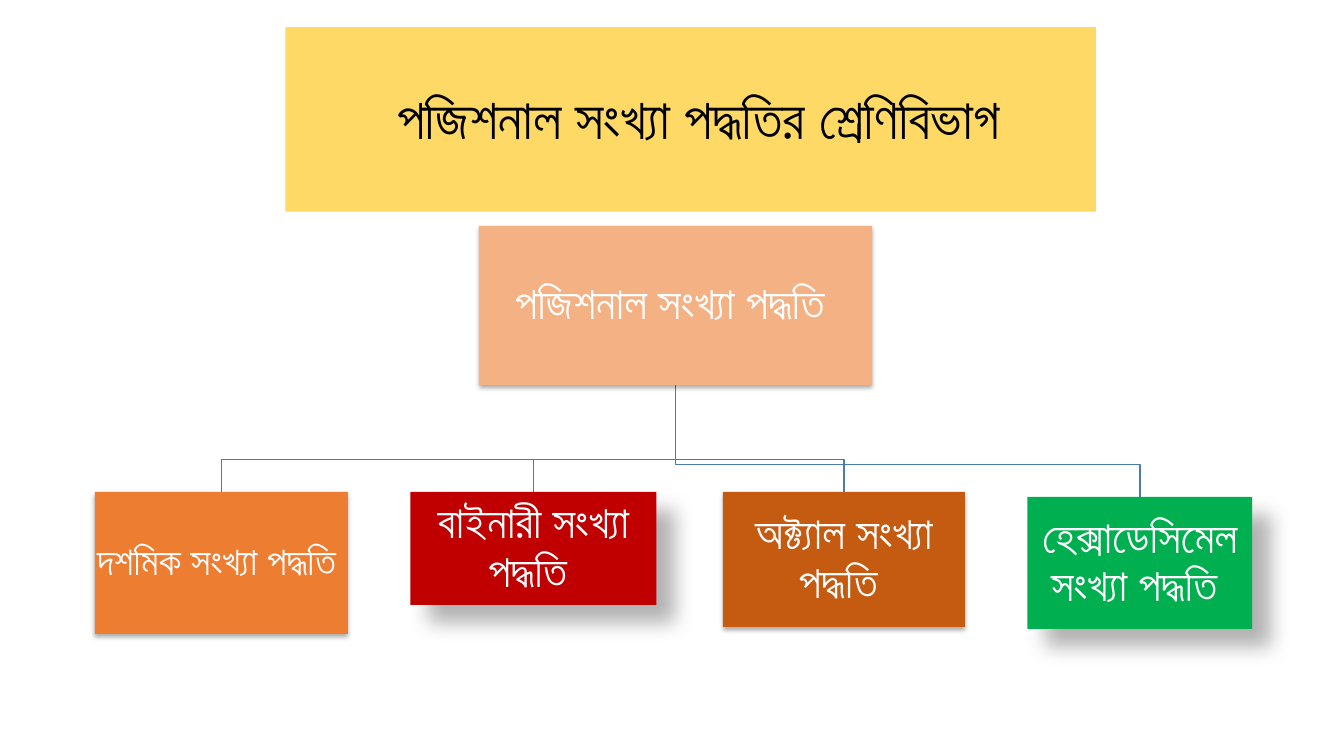
from lxml import etree
from pptx import Presentation
from pptx.dml.color import RGBColor
from pptx.enum.shapes import MSO_SHAPE
from pptx.enum.text import MSO_ANCHOR, MSO_AUTO_SIZE, PP_ALIGN
from pptx.oxml.ns import qn
from pptx.util import Inches, Pt

RECTANGLE = MSO_SHAPE.RECTANGLE
MIDDLE = MSO_ANCHOR.MIDDLE
CENTER = PP_ALIGN.CENTER
NO_FIT = MSO_AUTO_SIZE.NONE

SOFT_SHADOW = {"alpha": 32, "blur": 3.5, "distance": 2.2, "angle": 90}
DEEP_SHADOW = {"alpha": 30, "blur": 15, "distance": 18, "angle": 45}

ROOT = ("পজিশনাল সংখ্যা পদ্ধতি ", (4.75, 2.24, 3.9, 1.58), "F4B183", 32, SOFT_SHADOW)
CHILDREN = [
    ("দশমিক সংখ্যা পদ্ধতি ", (0.94, 4.88, 2.51, 1.41), "ED7D31", 28, SOFT_SHADOW),
    ("বাইনারী সংখ্যা পদ্ধতি ", (4.07, 4.88, 2.44, 1.12), "C00000", 32, DEEP_SHADOW),
    ("অক্ট্যাল সংখ্যা পদ্ধতি ", (7.17, 4.88, 2.4, 1.34), "C55A11", 32, SOFT_SHADOW),
    ("হেক্সাডেসিমেল সংখ্যা পদ্ধতি ", (10.19, 4.93, 2.23, 1.31), "00B050", 32, DEEP_SHADOW),
]


def color(value):
    return RGBColor.from_string(value)


def add_span(para, text, *, size, font="Lato", ink="FFFFFF"):
    span = para.add_run()
    span.text = text
    span.font.size = Pt(size)
    span.font.name = font
    span.font.color.rgb = color(ink)


class Chart:
    line_color = "497CAB"
    line_width = 1
    inset = 0.02
    drop = 0.32

    def __init__(self, page):
        self.page = page

    def paragraph(self, shape):
        frame = shape.text_frame
        frame.word_wrap = True
        frame.auto_size = NO_FIT
        frame.vertical_anchor = MIDDLE
        para = frame.paragraphs[0]
        para.alignment = CENTER
        para.line_spacing = 0.9
        return para

    def paint(self, shape, fill):
        shape.fill.solid()
        shape.fill.fore_color.rgb = color(fill)
        shape.line.fill.background()

    def title(self, text, place, fill):
        title = self.page.shapes.title
        title.left, title.top, title.width, title.height = map(Inches, place)
        self.paint(title, fill)
        para = self.paragraph(title)
        add_span(para, " ", size=44, ink="000000")
        add_span(para, text, size=40, font="Roboto", ink="000000")

    def shadow(self, shape, alpha, blur, distance, angle):
        shape.shadow.inherit = False
        effects = shape.element.spPr.find(qn("a:effectLst"))
        outer = etree.SubElement(
            effects, qn("a:outerShdw"), blurRad=str(Pt(blur)), dist=str(Pt(distance)),
            dir=str(angle * 60000), algn="tl", rotWithShape="0")
        tint = etree.SubElement(outer, qn("a:srgbClr"), val="000000")
        etree.SubElement(tint, qn("a:alpha"), val=str(alpha * 1000))

    def node(self, text, place, fill, size, shadow):
        box = self.page.shapes.add_shape(RECTANGLE, *map(Inches, place))
        self.paint(box, fill)
        self.shadow(box, **shadow)
        frame = box.text_frame
        frame.margin_left = frame.margin_right = Inches(self.inset)
        frame.margin_top = frame.margin_bottom = Inches(self.inset)
        add_span(self.paragraph(box), text, size=size)

    def branch(self, parent, child):
        left, top, width, height = parent
        start, bottom = left + width / 2, top + height
        end, child_top = child[0] + child[2] / 2, child[1]
        bend = child_top - self.drop
        corners = [(start, bend), (end, bend), (end, child_top)]
        builder = self.page.shapes.build_freeform(Inches(start), Inches(bottom))
        builder.add_line_segments(
            [(Inches(x), Inches(y)) for x, y in corners], close=False)
        line = builder.convert_to_shape()
        line.fill.background()
        line.line.color.rgb = color(self.line_color)
        line.line.width = Pt(self.line_width)
        line.shadow.inherit = False


def main():
    deck = Presentation()
    deck.slide_width, deck.slide_height = Inches(13.33), Inches(7.5)
    chart = Chart(deck.slides.add_slide(deck.slide_layouts[5]))
    chart.title("পজিশনাল সংখ্যা পদ্ধতির শ্রেণিবিভাগ", (2.83, 0.27, 8.04, 1.83), "FFD966")
    for child in reversed(CHILDREN):
        chart.branch(ROOT[1], child[1])
    for node in [ROOT, *CHILDREN]:
        chart.node(*node)
    deck.save("out.pptx")


if __name__ == "__main__":
    main()
